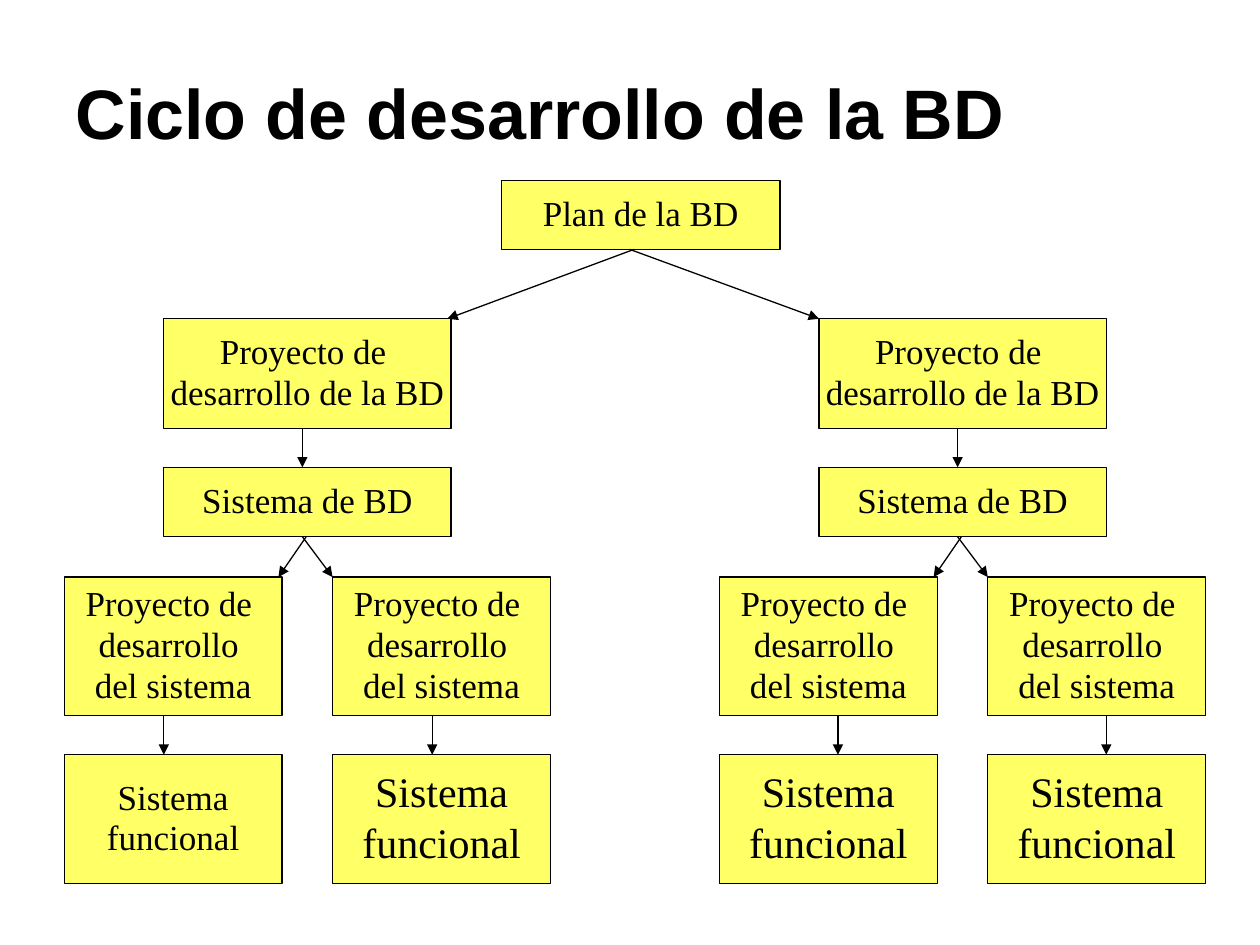
from lxml import etree
from pptx import Presentation
from pptx.dml.color import RGBColor
from pptx.enum.shapes import MSO_CONNECTOR, MSO_SHAPE
from pptx.enum.text import MSO_ANCHOR, PP_ALIGN
from pptx.oxml.ns import qn
from pptx.util import Inches, Pt

BLACK = RGBColor(0x00, 0x00, 0x00)
YELLOW = RGBColor(0xFF, 0xFF, 0x66)
RECTANGLE = MSO_SHAPE.RECTANGLE
STRAIGHT = MSO_CONNECTOR.STRAIGHT
MIDDLE = MSO_ANCHOR.MIDDLE
LEFT, CENTER = PP_ALIGN.LEFT, PP_ALIGN.CENTER

PLAN_TOP, PLAN_HEIGHT = 1.43, 0.55
PROJECT_TOP, PROJECT_HEIGHT = 2.53, 0.87
SYSTEM_TOP, SYSTEM_HEIGHT = 3.71, 0.55
SUBPROJECT_TOP, SUBPROJECT_HEIGHT = 4.58, 1.1
RESULT_TOP, RESULT_HEIGHT = 5.99, 1.02
PARENT_OFFSET, PARENT_WIDTH = 0.79, 2.28
CHILD_STEP, CHILD_WIDTH = 2.13, 1.73
BRANCH_LEFT, BRANCH_STEP = 0.51, 5.2


def format_paragraph(paragraph, font_name, size, spacing, alignment):
    paragraph.alignment = alignment
    paragraph.line_spacing = spacing
    paragraph.font.name = font_name
    paragraph.font.size = Pt(size)
    paragraph.font.color.rgb = BLACK


def add_title(slide, left, top, width, height):
    title = slide.shapes.title
    title.left, title.top = Inches(left), Inches(top)
    title.width, title.height = Inches(width), Inches(height)
    title.text_frame.text = "Ciclo de desarrollo de la BD"
    title.text_frame.vertical_anchor = MIDDLE
    paragraph = title.text_frame.paragraphs[0]
    format_paragraph(paragraph, "Arial", 40, 0.92, LEFT)
    paragraph.font.bold = True


def add_box(slide, left, top, width, height, lines, size=20):
    box = slide.shapes.add_shape(
        RECTANGLE, Inches(left), Inches(top), Inches(width), Inches(height))
    box.shadow.inherit = False
    box.fill.solid()
    box.fill.fore_color.rgb = YELLOW
    box.line.color.rgb = BLACK
    box.line.width = Pt(0.75)
    frame = box.text_frame
    frame.word_wrap = False
    frame.vertical_anchor = MIDDLE
    frame.text = "\n".join(lines)
    first_spacing, next_spacing = (0.92, 0.98) if size == 20 else (0.9, 1.0)
    for index, paragraph in enumerate(frame.paragraphs):
        spacing = next_spacing if index else first_spacing
        format_paragraph(paragraph, "Times New Roman", size, spacing, CENTER)


def add_arrow(slide, start_x, start_y, end_x, end_y):
    arrow = slide.shapes.add_connector(
        STRAIGHT, Inches(start_x), Inches(start_y), Inches(end_x), Inches(end_y))
    arrow.line.color.rgb = BLACK
    arrow.line.width = Pt(0.75)
    etree.SubElement(arrow.line._get_or_add_ln(), qn("a:tailEnd"), type="triangle")
    etree.SubElement(arrow._element.spPr, qn("a:effectLst"))


def add_plan(slide, left, top, width, height):
    add_box(slide, left, top, width, height, ["Plan de la BD"])
    bottom = top + height
    add_arrow(slide, left + 1.05, bottom, left - 0.43, PROJECT_TOP)
    add_arrow(slide, left + 1.02, bottom, left + 2.52, PROJECT_TOP)


def add_subproject(slide, left, arrow_offset, result_size):
    add_box(slide, left, SUBPROJECT_TOP, CHILD_WIDTH, SUBPROJECT_HEIGHT,
            ["Proyecto de ", "desarrollo ", "del sistema"])
    add_box(slide, left, RESULT_TOP, CHILD_WIDTH, RESULT_HEIGHT,
            ["Sistema", "funcional"], result_size)
    arrow_x = left + arrow_offset
    add_arrow(slide, arrow_x, SUBPROJECT_TOP + SUBPROJECT_HEIGHT, arrow_x, RESULT_TOP)


def add_branch(slide, left, arrow_offset, result_sizes):
    parent_left = left + PARENT_OFFSET
    add_box(slide, parent_left, PROJECT_TOP, PARENT_WIDTH, PROJECT_HEIGHT,
            ["Proyecto de ", "desarrollo de la BD"])
    add_box(slide, parent_left, SYSTEM_TOP, PARENT_WIDTH, SYSTEM_HEIGHT,
            ["Sistema de BD"])
    stem_x = parent_left + 1.1
    add_arrow(slide, stem_x, PROJECT_TOP + PROJECT_HEIGHT, stem_x, SYSTEM_TOP)
    system_bottom = SYSTEM_TOP + SYSTEM_HEIGHT
    add_arrow(slide, stem_x + 0.03, system_bottom, left + 1.7, SUBPROJECT_TOP)
    add_arrow(slide, stem_x, system_bottom, left + CHILD_STEP, SUBPROJECT_TOP)
    for column, size in enumerate(result_sizes):
        add_subproject(slide, left + column * CHILD_STEP, arrow_offset, size)


def main():
    presentation = Presentation()
    presentation.slide_width, presentation.slide_height = Inches(10), Inches(7.5)
    slide = presentation.slides.add_slide(presentation.slide_layouts[5])
    add_title(slide, 0.5, 0.57, 8.56, 0.71)
    add_plan(slide, 3.98, PLAN_TOP, 2.21, PLAN_HEIGHT)
    add_branch(slide, BRANCH_LEFT, 0.79, (20, 24))
    add_branch(slide, BRANCH_LEFT + BRANCH_STEP, 0.94, (24, 24))
    presentation.save("out.pptx")


if __name__ == "__main__":
    main()
